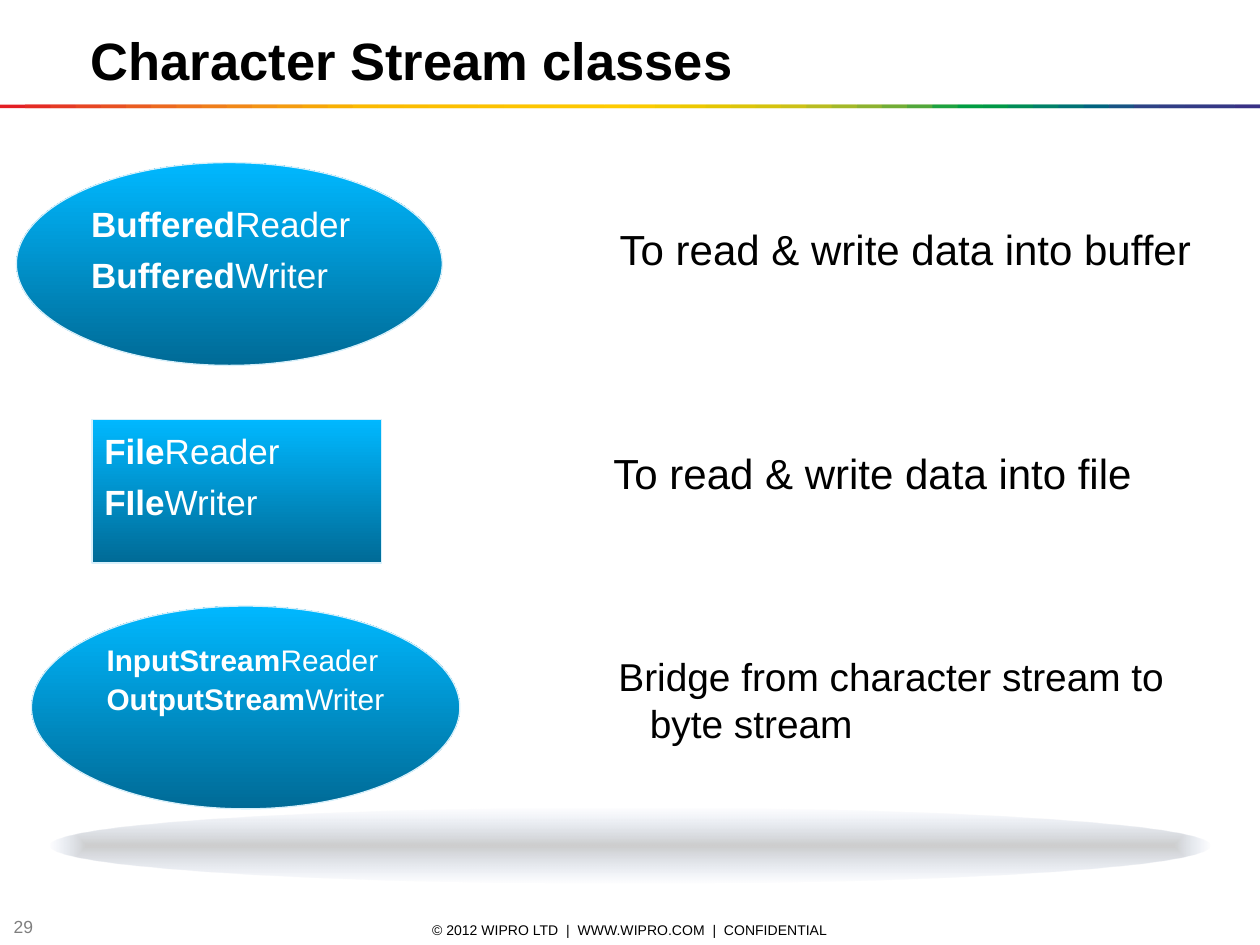
import pptx
import pptx.dml.color
import pptx.enum.shapes
import pptx.enum.text
import pptx.oxml
import pptx.oxml.ns
import pptx.util

COLUMNS, ROWS = 100, 75
SLIDE_WIDTH, SLIDE_HEIGHT = pptx.util.Inches(10), pptx.util.Inches(7.5)
SHAPES = pptx.enum.shapes.MSO_SHAPE
ANCHORS = pptx.enum.text.MSO_ANCHOR
ALIGN = pptx.enum.text.PP_ALIGN
FONT = "Arial"
BLACK, WHITE, GREY = "000000", "FFFFFF", "7F7F7F"
DEEP_BLUE, BRIGHT_BLUE, PALE_BLUE = "006A96", "00B8FF", "D7F0FB"

RAINBOW = """
E31E24 E42C24 E53A24 E74623 E85122 EA5D21 EC691F EE741D EF7E1A F18817
F39314 F49C0F F6A607 F8B002 FBBA00 FBBB00 FBBD00 FCBF00 FCC000 FCC200
FDC400 FDC600 FDC700 FEC900 FECB00 FBCB00 F3CA00 ECC800 E4C602 DCC50A
D5C30E CCC117 B8BC21 A3B829 8CB230 71AD36 51A73B 1DA240 009D43 009846
008C57 008068 007275 00637F 185384 2E4285 313E85 333B85 353885 393185
""".split()

# shape, place on the grid, text size, line spacing, space before, class names
CLASS_PAIRS = [
    (SHAPES.RECTANGLE, (7.3, 33.3, 23, 11.4), 20, 1, 5,
     [("File", "Reader"), ("FIle", "Writer")]),
    (SHAPES.OVAL, (1.3, 12.9, 33.8, 16.1), 20, 1, 5,
     [("Buffered", "Reader"), ("Buffered", "Writer")]),
    (SHAPES.OVAL, (2.5, 48.1, 34, 16.1), 17, 0.9, 4.2,
     [("InputStream", "Reader"), ("OutputStream", "Writer")]),
]

PURPOSES = [
    ("To read & write data into buffer", (48.2, 16.9, 48.9, 6.2), 24),
    ("To read & write data into file", (47.7, 34.7, 47.1, 6.2), 24),
    ("Bridge from character stream to byte stream", (48.1, 51, 47.3, 8.8), 22.2),
]


def color(hex_string):
    return pptx.dml.color.RGBColor.from_string(hex_string)


def cells(column, row, columns, rows):
    """Turn a place on the grid into left, top, width and height."""
    return (
        round(SLIDE_WIDTH * column / COLUMNS),
        round(SLIDE_HEIGHT * row / ROWS),
        round(SLIDE_WIDTH * columns / COLUMNS),
        round(SLIDE_HEIGHT * rows / ROWS),
    )


def format_font(font, size, hex_string, bold=False):
    font.name = FONT
    font.size = pptx.util.Pt(size)
    font.bold = bold
    font.color.rgb = color(hex_string)


def set_frame(frame, anchor, top=0.05):
    frame.word_wrap = True
    frame.vertical_anchor = anchor
    frame.margin_top = pptx.util.Inches(top)


def add_plain_shape(shapes, kind, place):
    shape = shapes.add_shape(kind, *cells(*place))
    shape.shadow.inherit = False
    shape.line.fill.background()
    return shape


def fill_gradient(shape, first, last):
    """Fill with two colours running from the bottom to the top."""
    shape.fill.gradient()
    shape.fill.gradient_angle = 90
    for stop, hex_string in zip(shape.fill.gradient_stops, (first, last)):
        stop.color.rgb = color(hex_string)


def add_rainbow_rule(page):
    group = page.shapes.add_group_shape()
    step = COLUMNS / len(RAINBOW)
    for index, hex_string in enumerate(RAINBOW):
        left = index * step
        width = min(2 * step, COLUMNS - left)
        strip = add_plain_shape(group.shapes, SHAPES.RECTANGLE, (left, 8.3, width, 0.3))
        strip.fill.solid()
        strip.fill.fore_color.rgb = color(hex_string)


def add_floor_shadow(page):
    """Add the flat ellipse that fades out from its centre."""
    floor = add_plain_shape(page.shapes, SHAPES.OVAL, (3.9, 64.1, 92.2, 6))
    fill_gradient(floor, "080808", "0040A8")
    qualify = pptx.oxml.ns.qn
    gradient = floor._element.spPr.find(qualify("a:gradFill"))
    for value, opacity in zip(gradient.iter(qualify("a:srgbClr")), (20000, 0)):
        value.append(pptx.oxml.parse_xml(
            f'<a:alpha {pptx.oxml.ns.nsdecls("a")} val="{opacity}"/>'))
    gradient.replace(gradient.find(qualify("a:lin")), pptx.oxml.parse_xml(
        f'<a:path {pptx.oxml.ns.nsdecls("a")} path="rect">'
        '<a:fillToRect l="50000" t="50000" r="50000" b="50000"/></a:path>'))


def add_title(page, text):
    title = page.shapes.title
    title.left, title.top, title.width, title.height = cells(5, 1.5, 90, 6.1)
    frame = title.text_frame
    set_frame(frame, ANCHORS.MIDDLE, 0.08)
    frame.margin_left = pptx.util.Inches(0.22)
    frame.text = text
    frame.paragraphs[0].alignment = ALIGN.LEFT
    format_font(frame.paragraphs[0].runs[0].font, 30, BLACK, bold=True)


def add_class_pair(page, kind, place, size, spacing, space_before, names):
    shape = add_plain_shape(page.shapes, kind, place)
    fill_gradient(shape, DEEP_BLUE, BRIGHT_BLUE)
    shape.line.color.rgb = color(PALE_BLUE)
    shape.line.width = pptx.util.Pt(0.75)
    frame = shape.text_frame
    set_frame(frame, ANCHORS.TOP, 0.08)
    for index, name_parts in enumerate(names):
        para = frame.add_paragraph() if index else frame.paragraphs[0]
        para.alignment = ALIGN.LEFT
        para.line_spacing = float(spacing)
        if index:
            para.space_before = pptx.util.Pt(space_before)
        for part, bold in zip(name_parts, (True, False)):
            span = para.add_run()
            span.text = part
            format_font(span.font, size, WHITE, bold)


def add_text(page, text, place, size, hex_string=BLACK, anchor=ANCHORS.MIDDLE,
             align=ALIGN.LEFT, top=0.05):
    box = page.shapes.add_textbox(*cells(*place))
    set_frame(box.text_frame, anchor, top)
    box.text_frame.text = text
    para = box.text_frame.paragraphs[0]
    para.alignment = align
    format_font(para.runs[0].font, size, hex_string)
    return para


def add_purpose(page, text, place, size):
    para = add_text(page, text, place, size, anchor=ANCHORS.TOP, top=0.08)
    indent = pptx.util.Inches(0.25)
    properties = para._p.get_or_add_pPr()
    properties.set("marL", str(indent))
    properties.set("indent", str(-indent))


def main():
    deck = pptx.Presentation()
    deck.slide_width, deck.slide_height = SLIDE_WIDTH, SLIDE_HEIGHT
    page = deck.slides.add_slide(deck.slide_layouts[5])
    add_text(page, "© 2012 WIPRO LTD  |  WWW.WIPRO.COM  |  CONFIDENTIAL",
             (33, 72.8, 34, 2), 8, align=ALIGN.CENTER)
    add_text(page, "29", (0.1, 72.7, 3.9, 1.6), 10, GREY)
    add_rainbow_rule(page)
    add_floor_shadow(page)
    add_title(page, "Character Stream classes")
    for pair in CLASS_PAIRS:
        add_class_pair(page, *pair)
    for purpose in PURPOSES:
        add_purpose(page, *purpose)
    deck.save("out.pptx")


if __name__ == "__main__":
    main()
